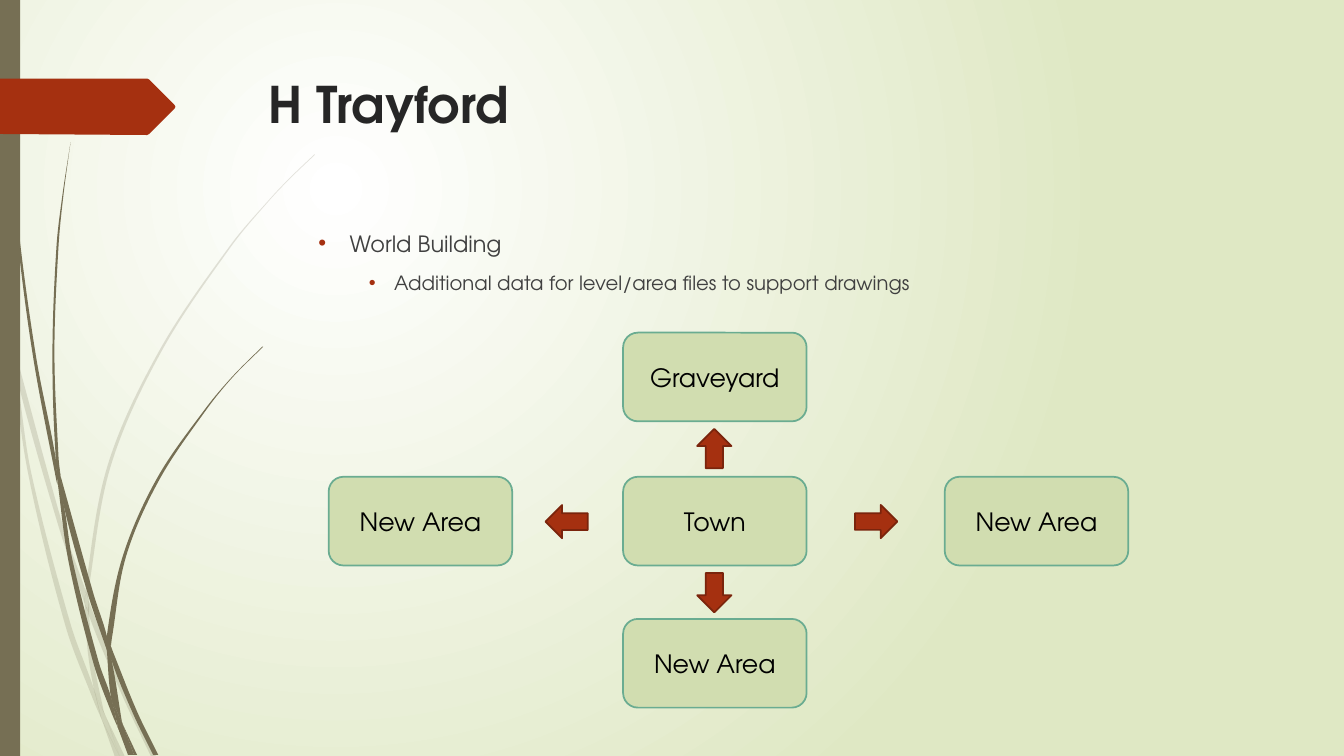
from math import dist
from typing import NamedTuple

from lxml.etree import SubElement
from pptx import Presentation
from pptx.dml.color import RGBColor
from pptx.enum.shapes import MSO_SHAPE
from pptx.enum.text import MSO_ANCHOR, PP_ALIGN
from pptx.oxml.ns import qn
from pptx.util import Inches, Pt

Point = tuple[float, float]
FONT = "TeX Gyre Adventor"
COLORS = {
    "white": "FFFFFF", "pale_green": "DFE8C4", "olive": "766F54",
    "red": "A53010", "dark_red": "7A240C", "title": "262626",
    "body": "404040", "box": "D1DDB0", "box_line": "6AAC91", "black": "000000",
}


class Blade(NamedTuple):
    """Piece of grass between two curved edges that run the same way."""
    left: list[Point]
    right: list[Point]


class Area(NamedTuple):
    name: str
    left: float
    top: float


class Arrow(NamedTuple):
    left: float
    top: float
    width: float
    height: float
    rotation: int


class Bullet(NamedTuple):
    text: str
    size: int
    margin: float
    indent: float


PALE_BLADES = [
    Blade([(0, 2.99), (0.1, 3.44), (0.11, 3.5)], [(0, 2.82), (0.09, 3.22), (0.11, 3.5)]),
    Blade([(0.14, 3.45), (0.17, 3.76), (0.58, 5.22), (0.84, 5.99)],
          [(0.14, 3.45), (0.62, 5.2), (0.85, 5.86)]),
    Blade([(0.88, 5.96), (0.88, 6.1), (1.23, 6.94), (1.5, 7.51)],
          [(0.88, 5.96), (0.92, 6.07), (1.27, 6.92), (1.55, 7.51)]),
    Blade([(1.05, 7.11), (1.19, 7.51)], [(1.05, 7.11), (1.24, 7.51)]),
    Blade([(0.11, 3.5), (0.28, 4.7), (0.65, 6.21), (0.92, 6.93), (1.01, 7.14)],
          [(0.11, 3.5), (0.17, 3.76), (0.31, 4.69), (0.7, 6.19), (0.93, 6.83), (1.01, 7.14)]),
    Blade([(0.84, 5.99), (0.87, 6.46), (0.93, 6.83), (0.96, 6.92), (1.05, 7.11)],
          [(0.84, 5.99), (0.88, 6.08), (0.91, 6.46), (1.03, 7.06), (1.05, 7.11)]),
    Blade([(3.12, 1.53), (2.89, 1.75), (2.68, 1.97), (2.28, 2.44), (1.58, 3.48),
           (1.07, 4.61), (0.85, 5.84), (0.88, 5.96)],
          [(3.12, 1.54), (2.9, 1.75), (2.68, 1.98), (2.29, 2.45), (1.6, 3.49),
           (1.1, 4.62), (0.88, 5.84), (0.88, 5.96)]),
    Blade([(1.01, 7.14), (1.14, 7.51)], [(1.01, 7.14), (1.19, 7.51)]),
    Blade([(0.85, 5.86), (0.84, 5.99), (0.88, 6.08)], [(0.85, 5.86), (0.88, 5.96), (0.88, 6.1)]),
    Blade([(0.93, 6.83), (0.99, 7.07), (1.01, 7.14), (1.19, 7.51)],
          [(0.93, 6.83), (0.96, 6.92), (1.05, 7.11), (1.19, 7.51)]),
]
DARK_BLADES = [
    Blade([(0.03, 0), (0.04, 0.48), (0.07, 1.1), (0.17, 2.33), (0.33, 3.55), (0.56, 4.77), (0.57, 4.81)],
          [(0.04, 0), (0.05, 0.48), (0.08, 1.09), (0.19, 2.32), (0.36, 3.55), (0.55, 4.53), (0.57, 4.81)]),
    Blade([(0.6, 4.72), (0.64, 5.05), (0.88, 5.92), (1.06, 6.45)],
          [(0.6, 4.72), (0.93, 5.9), (1.06, 6.31), (1.06, 6.45)]),
    Blade([(1.1, 6.41), (1.11, 6.56), (1.32, 7.08), (1.52, 7.49)],
          [(1.1, 6.41), (1.13, 6.49), (1.36, 7.06), (1.57, 7.49)]),
    Blade([(0.57, 4.77), (0.68, 5.57), (0.93, 6.59), (1.11, 7.08), (1.17, 7.22)],
          [(0.57, 4.77), (0.64, 5.05), (0.72, 5.56), (0.98, 6.57), (1.1, 6.91), (1.17, 7.22)]),
    Blade([(0.7, 1.41), (0.62, 1.93), (0.56, 2.45), (0.52, 3.49), (0.55, 4.49), (0.6, 4.72)],
          [(0.7, 1.41), (0.63, 1.93), (0.58, 2.45), (0.54, 3.49), (0.58, 4.53), (0.6, 4.72)]),
    Blade([(1.22, 7.19), (1.33, 7.49)], [(1.22, 7.19), (1.36, 7.49)]),
    Blade([(0.55, 4.49), (0.57, 4.77), (0.64, 5.05)], [(0.55, 4.49), (0.6, 4.72), (0.64, 5.05)]),
    Blade([(2.6, 3.44), (2.31, 3.73), (2.04, 4.05), (1.56, 4.74), (1.22, 5.51), (1.06, 6.31), (1.1, 6.41)],
          [(2.61, 3.44), (2.31, 3.74), (2.05, 4.06), (1.58, 4.76), (1.25, 5.52), (1.11, 6.33), (1.1, 6.41)]),
    Blade([(1.17, 7.22), (1.27, 7.49)], [(1.17, 7.22), (1.31, 7.49)]),
    Blade([(1.06, 6.45), (1.1, 6.91), (1.16, 7.06), (1.22, 7.19)],
          [(1.06, 6.45), (1.11, 6.56), (1.21, 7.16), (1.22, 7.19)]),
    Blade([(1.06, 6.31), (1.06, 6.45), (1.11, 6.56)], [(1.06, 6.31), (1.1, 6.41), (1.11, 6.56)]),
    Blade([(1.1, 6.91), (1.16, 7.17), (1.17, 7.22), (1.3, 7.49)],
          [(1.1, 6.91), (1.16, 7.06), (1.22, 7.19), (1.33, 7.49)]),
]
FLAG = [(0, 0.78), (1.46, 0.78), (1.48, 0.79), (1.73, 1.04), (1.74, 1.06),
        (1.73, 1.08), (1.48, 1.33), (1.46, 1.34), (0, 1.33)]

COLUMNS = (3.26, 6.18, 9.37)
ROWS = (3.3, 4.73, 6.14)
AREAS = [
    Area("Town", COLUMNS[1], ROWS[1]),
    Area("Graveyard", COLUMNS[1], ROWS[0]),
    Area("New Area", COLUMNS[1], ROWS[2]),
    Area("New Area", COLUMNS[0], ROWS[1]),
    Area("New Area", COLUMNS[2], ROWS[1]),
]
ARROWS = [
    Arrow(8.48, 5.01, 0.42, 0.33, 0), Arrow(5.41, 5.01, 0.42, 0.33, 180),
    Arrow(6.89, 4.28, 0.39, 0.34, 270), Arrow(6.89, 5.71, 0.39, 0.34, 90),
]
BULLETS = [
    Bullet("World Building", 16, 0.81, -0.31),
    Bullet("Additional data for level/area files to support drawings", 14, 1.25, -0.25),
]


def rgb(name: str) -> RGBColor:
    return RGBColor.from_string(COLORS[name])


def style(sp, fill: str, line: str | None = None) -> None:
    sp.shadow.inherit = False
    sp.fill.solid()
    sp.fill.fore_color.rgb = rgb(fill)
    if line:
        sp.line.color.rgb = rgb(line)
        sp.line.width = Pt(1.25)
    else:
        sp.line.fill.background()


def add_run(p, text: str, size: int, color: str, bold: bool = False) -> None:
    r = p.add_run()
    r.text = text
    r.font.name, r.font.size, r.font.bold = FONT, Pt(size), bold
    r.font.color.rgb = rgb(color)


def add_outline(slide, outline: list[Point], fill: str):
    points = [(Inches(x), Inches(y)) for x, y in outline]
    builder = slide.shapes.build_freeform(*points[0])
    builder.add_line_segments(points[1:], close=True)
    sp = builder.convert_to_shape()
    style(sp, fill)
    return sp


def curve(edge: list[Point]) -> list[Point]:
    """Return two handles and an end point for each step of a smooth edge."""
    ends = [edge[0], *edge, edge[-1]]
    points = []
    for a, b, c, d in zip(ends, ends[1:], ends[2:], ends[3:]):
        step = dist(b, c)
        out, back = step / (dist(a, b) + step) / 3, step / (step + dist(c, d)) / 3
        points += [tuple(q + (r - p) * out for p, q, r in zip(a, b, c)),
                   tuple(r - (s - q) * back for q, r, s in zip(b, c, d)), c]
    return points


def add_blade(slide, blade: Blade, alpha: int):
    """Draw a blade, turning each three line steps into one curve."""
    tip, end = blade.left[-1], blade.right[-1]
    join = [tip, end, end] if tip != end else []
    outline = [blade.left[0], *curve(blade.left), *join, *curve(blade.right[::-1])]
    sp = add_outline(slide, outline, "olive")
    lines = sp.element.findall(".//" + qn("a:lnTo"))
    for i in range(0, len(outline) - 1, 3):
        bezier = lines[i].getparent().makeelement(qn("a:cubicBezTo"))
        lines[i].addprevious(bezier)
        for line in lines[i:i + 3]:
            bezier.append(line[0])
            line.getparent().remove(line)
    if alpha < 100:
        color = sp.element.find(".//" + qn("a:srgbClr"))
        SubElement(color, qn("a:alpha"), val=str(alpha * 1000))
    return sp


def add_area(slide, area: Area):
    sp = slide.shapes.add_shape(MSO_SHAPE.ROUNDED_RECTANGLE,
                                *map(Inches, (area.left, area.top, 1.82, 0.88)))
    style(sp, "box", "box_line")
    sp.text_frame.vertical_anchor = MSO_ANCHOR.MIDDLE
    p = sp.text_frame.paragraphs[0]
    p.alignment = PP_ALIGN.CENTER
    add_run(p, area.name, 18, "black")
    return sp


def add_arrow(slide, arrow: Arrow):
    sp = slide.shapes.add_shape(MSO_SHAPE.RIGHT_ARROW, *map(Inches, arrow[:4]))
    sp.rotation = arrow.rotation
    style(sp, "red", "dark_red")
    return sp


def add_bullets(slide, bullets: list[Bullet]) -> None:
    tf = slide.shapes.add_textbox(*map(Inches, (2.56, 2.23, 9.75, 4.34))).text_frame
    tf.word_wrap = True
    for level, bullet in enumerate(bullets):
        p = tf.add_paragraph() if level else tf.paragraphs[0]
        p.level, p.space_before = level, Pt(10)
        pPr = p._p.get_or_add_pPr()
        pPr.set("marL", str(Inches(bullet.margin)))
        pPr.set("indent", str(Inches(bullet.indent)))
        SubElement(SubElement(pPr, qn("a:buClr")), qn("a:srgbClr"), val=COLORS["red"])
        SubElement(pPr, qn("a:buFont"), typeface="Arial")
        SubElement(pPr, qn("a:buChar"), char="•")
        add_run(p, bullet.text, bullet.size, "body")


def set_background(slide) -> None:
    """Fill with a circular gradient centred in the upper left quarter."""
    fill = slide.background.fill
    fill.gradient()
    for stop, position, color in zip(fill.gradient_stops, (0, 1), ("white", "pale_green")):
        stop.position, stop.color.rgb = position, rgb(color)
    grad = slide.element.find(".//" + qn("a:gradFill"))
    grad.remove(grad.find(qn("a:lin")))
    circle = SubElement(grad, qn("a:path"), {"path": "circle"})
    SubElement(circle, qn("a:fillToRect"), l="50000", t="50000", r="100000", b="100000")


def add_title(slide, text: str) -> None:
    title = slide.shapes.title
    title.left, title.top, title.width, title.height = map(Inches, (2.56, 0.68, 10.03, 1.4))
    title.text_frame.vertical_anchor = MSO_ANCHOR.TOP
    p = title.text_frame.paragraphs[0]
    p.alignment = PP_ALIGN.LEFT
    add_run(p, text, 36, "title", bold=True)


def main() -> None:
    prs = Presentation()
    prs.slide_width, prs.slide_height = Inches(13.33), Inches(7.5)
    slide = prs.slides.add_slide(prs.slide_layouts[5])
    set_background(slide)
    for blades, alpha in ((PALE_BLADES, 20), (DARK_BLADES, 100)):
        slide.shapes.add_group_shape([add_blade(slide, blade, alpha) for blade in blades])
    style(slide.shapes.add_shape(MSO_SHAPE.RECTANGLE, 0, 0, Inches(0.2), Inches(7.5)), "olive")
    add_outline(slide, FLAG, "red")
    add_title(slide, "H Trayford")
    add_bullets(slide, BULLETS)
    slide.shapes.add_group_shape([add_area(slide, area) for area in AREAS]
                                 + [add_arrow(slide, arrow) for arrow in ARROWS])
    prs.save("out.pptx")


if __name__ == "__main__":
    main()
